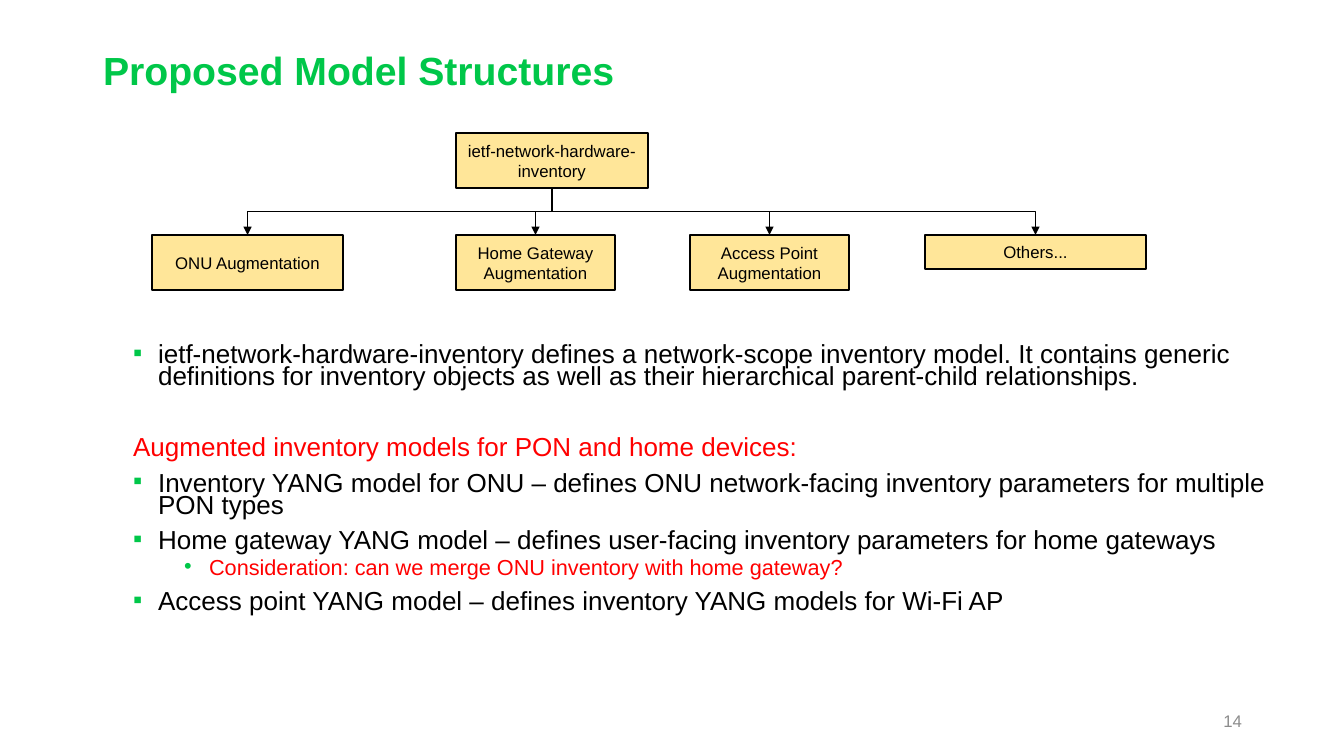
from lxml.etree import SubElement
from pptx import Presentation
from pptx.dml.color import RGBColor
from pptx.enum.shapes import MSO_CONNECTOR, MSO_SHAPE
from pptx.enum.text import MSO_ANCHOR, MSO_AUTO_SIZE, PP_ALIGN
from pptx.oxml.ns import qn
from pptx.util import Pt

EMU_PER_PX = 914400 / 100.8
GREEN, RED, BLACK, GREY, SAND = "00C749", "FF0000", "000000", "8C8C8C", "FFE699"
BOTTOM_SITE, TOP_SITE = 2, 0


def px(length):
    return round(length * EMU_PER_PX)


def color(hex_code):
    return RGBColor.from_string(hex_code)


def apply(target, values):
    for name, value in values.items():
        setattr(target, name, value)


def place(part, box):
    apply(part, dict(zip(("left", "top", "width", "height"), map(px, box))))


def write(paragraph, text, size, hex_code, bold=False, **layout):
    apply(paragraph, layout)
    run = paragraph.add_run()
    run.text = text
    apply(run.font, {"name": "Arial", "size": Pt(size), "bold": bold})
    run.font.color.rgb = color(hex_code)


def set_bullet(paragraph, mark, margin):
    properties = paragraph._p.get_or_add_pPr()
    properties.set("marL", str(px(margin)))
    properties.set("indent", str(px(-25 if mark else 0)))
    if not mark:
        SubElement(properties, qn("a:buNone"))
        return
    bullet_color = SubElement(properties, qn("a:buClr"))
    SubElement(bullet_color, qn("a:srgbClr"), val=GREEN)
    SubElement(properties, qn("a:buFont"), typeface="Arial")
    SubElement(properties, qn("a:buChar"), char=mark)


def add_title(slide, box):
    title = slide.shapes.title
    place(title, box)
    apply(title.text_frame, {"vertical_anchor": MSO_ANCHOR.MIDDLE, "word_wrap": True,
                             "auto_size": MSO_AUTO_SIZE.NONE})
    write(title.text_frame.paragraphs[0], "Proposed Model Structures", 28, GREEN, True,
          alignment=PP_ALIGN.LEFT, line_spacing=0.9)


def add_page_number(slide, box):
    number = slide.shapes.add_textbox(*map(px, box))
    apply(number.text_frame, {"vertical_anchor": MSO_ANCHOR.MIDDLE, "word_wrap": True})
    write(number.text_frame.paragraphs[0], "14", 12, GREY, alignment=PP_ALIGN.RIGHT)


def add_model(slide, lines, box):
    model = slide.shapes.add_shape(MSO_SHAPE.RECTANGLE, *map(px, box))
    model.shadow.inherit = False
    model.fill.solid()
    model.fill.fore_color.rgb = color(SAND)
    model.line.color.rgb = color(BLACK)
    model.line.width = Pt(1)
    frame = model.text_frame
    apply(frame, {"vertical_anchor": MSO_ANCHOR.MIDDLE, "word_wrap": True})
    for index, line in enumerate(lines):
        paragraph = frame.add_paragraph() if index else frame.paragraphs[0]
        write(paragraph, line, 12, BLACK, alignment=PP_ALIGN.CENTER)
    return model


def add_branch(slide, parent, child):
    start_x, start_y = parent.left + parent.width // 2, parent.top + parent.height
    end_x, end_y = child.left + child.width // 2, child.top
    branch = slide.shapes.add_connector(MSO_CONNECTOR.ELBOW, start_x, start_y, end_x, end_y)
    branch.begin_connect(parent, BOTTOM_SITE)
    branch.end_connect(child, TOP_SITE)
    drop, spread = end_y - start_y, abs(end_x - start_x)
    apply(branch, {"left": (start_x + end_x - drop) // 2,
                   "top": (start_y + end_y - spread) // 2,
                   "width": drop, "height": spread})
    to_right = end_x > start_x
    turn = branch._element.spPr.find(qn("a:xfrm"))
    for name, value in {"rot": (270 if to_right else 90) * 60000,
                        "flipH": int(to_right), "flipV": 0}.items():
        turn.set(name, str(value))
    branch.line.color.rgb = color(BLACK)
    branch.line.width = Pt(1)
    SubElement(branch.line._get_or_add_ln(), qn("a:tailEnd"), type="triangle")
    SubElement(branch._element.spPr, qn("a:effectLst"))


def add_model_tree(slide, box):
    left, top, width, height = box
    root = add_model(slide, ["ietf-network-hardware-inventory"], (left + 304, top, 192, 55))
    augmentations = [
        (["ONU Augmentation"], 0, 191, 55),
        (["Home Gateway", "Augmentation"], 304, 159, 55),
        (["Access Point", "Augmentation"], 538, 159, 55),
        (["Others..."], 773, width - 773, 34),
    ]
    children = [add_model(slide, lines, (left + offset, top + height - 55, child_width, child_height))
                for lines, offset, child_width, child_height in augmentations]
    for child in children:
        add_branch(slide, root, child)


def add_explanation(slide, box):
    body = slide.placeholders[1]
    place(body, box)
    frame = body.text_frame
    apply(frame, {"vertical_anchor": MSO_ANCHOR.TOP, "word_wrap": True,
                  "auto_size": MSO_AUTO_SIZE.NONE})
    points = [
        ("ietf-network-hardware-inventory defines a network-scope inventory model. It contains generic "
         "definitions for inventory objects as well as their hierarchical parent-child relationships.",
         "▪", 0, 10, BLACK),
        ("Augmented inventory models for PON and home devices:", None, 0, 35, RED),
        ("Inventory YANG model for ONU – defines ONU network-facing inventory parameters for multiple "
         "PON types", "▪", 0, 10, BLACK),
        ("Home gateway YANG model – defines user-facing inventory parameters for home gateways",
         "▪", 0, 10, BLACK),
        ("Consideration: can we merge ONU inventory with home gateway?", "•", 1, 5, RED),
        ("Access point YANG model – defines inventory YANG models for Wi-Fi AP", "▪", 0, 10, BLACK),
    ]
    for index, (text, mark, level, gap, hex_code) in enumerate(points):
        paragraph = frame.add_paragraph() if index else frame.paragraphs[0]
        write(paragraph, text, 15.5 if level else 18.6, hex_code, level=level,
              alignment=PP_ALIGN.LEFT, line_spacing=0.7, space_before=Pt(gap), space_after=Pt(0))
        set_bullet(paragraph, mark, 25 + 51 * level if mark else 0)


def main():
    deck = Presentation()
    apply(deck, {"slide_width": px(1344), "slide_height": px(756)})
    slide = deck.slides.add_slide(deck.slide_layouts[1])
    add_title(slide, (93, 40, 1159, 65))
    add_page_number(slide, (950, 701, 302, 40))
    add_explanation(slide, (123, 341, 1159, 330))
    add_model_tree(slide, (152, 133, 994, 157))
    deck.save("out.pptx")


if __name__ == "__main__":
    main()
